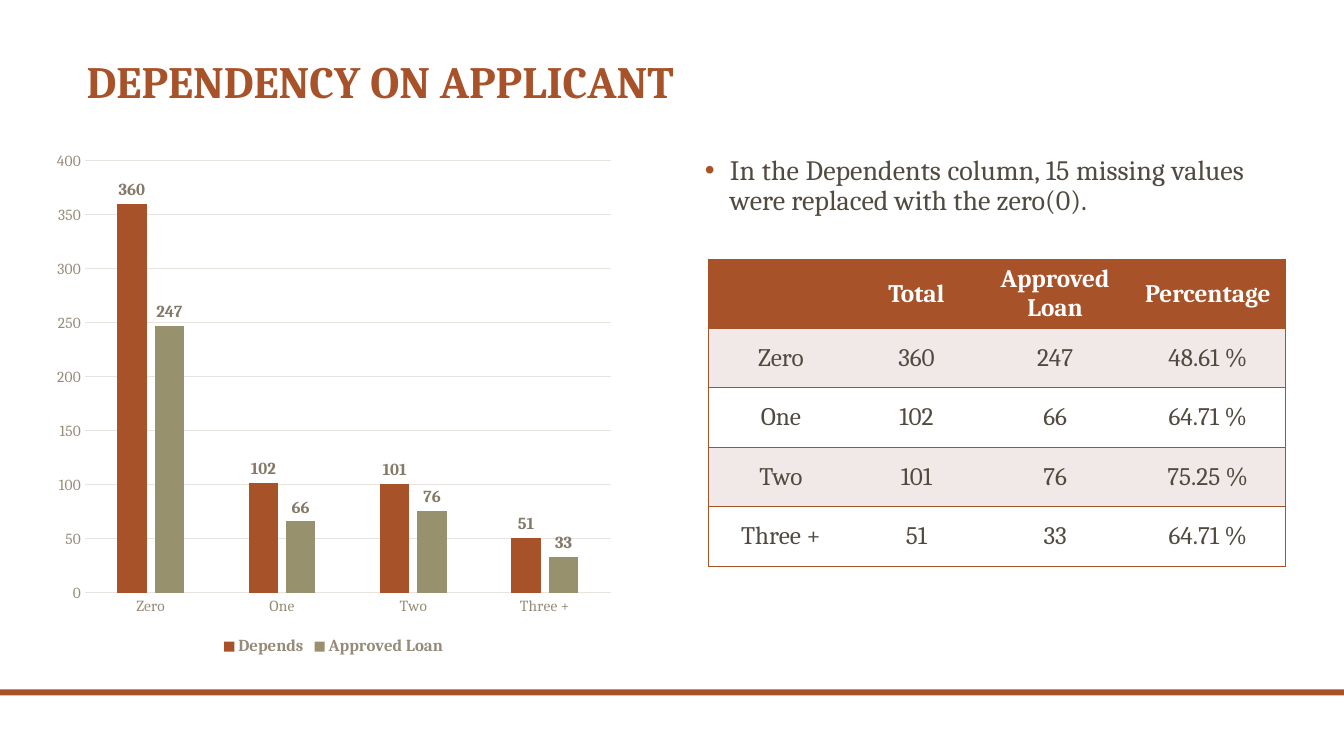
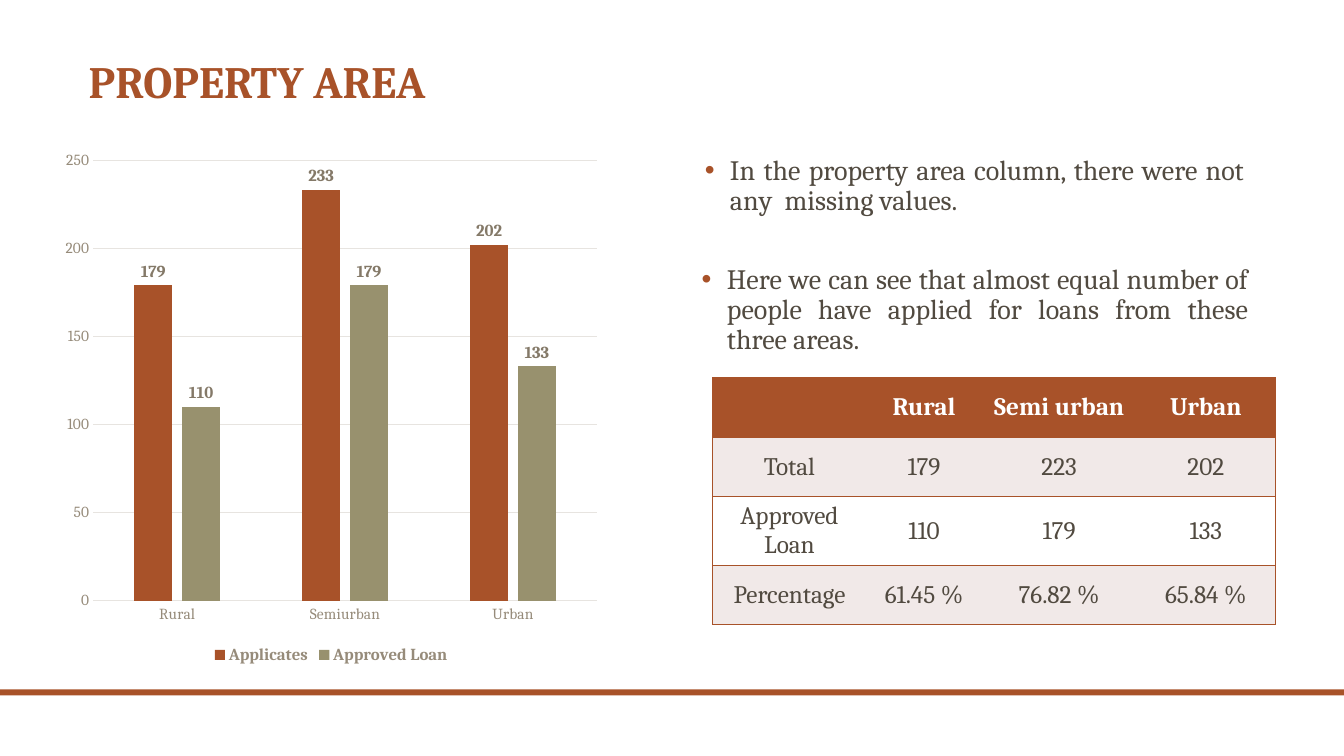
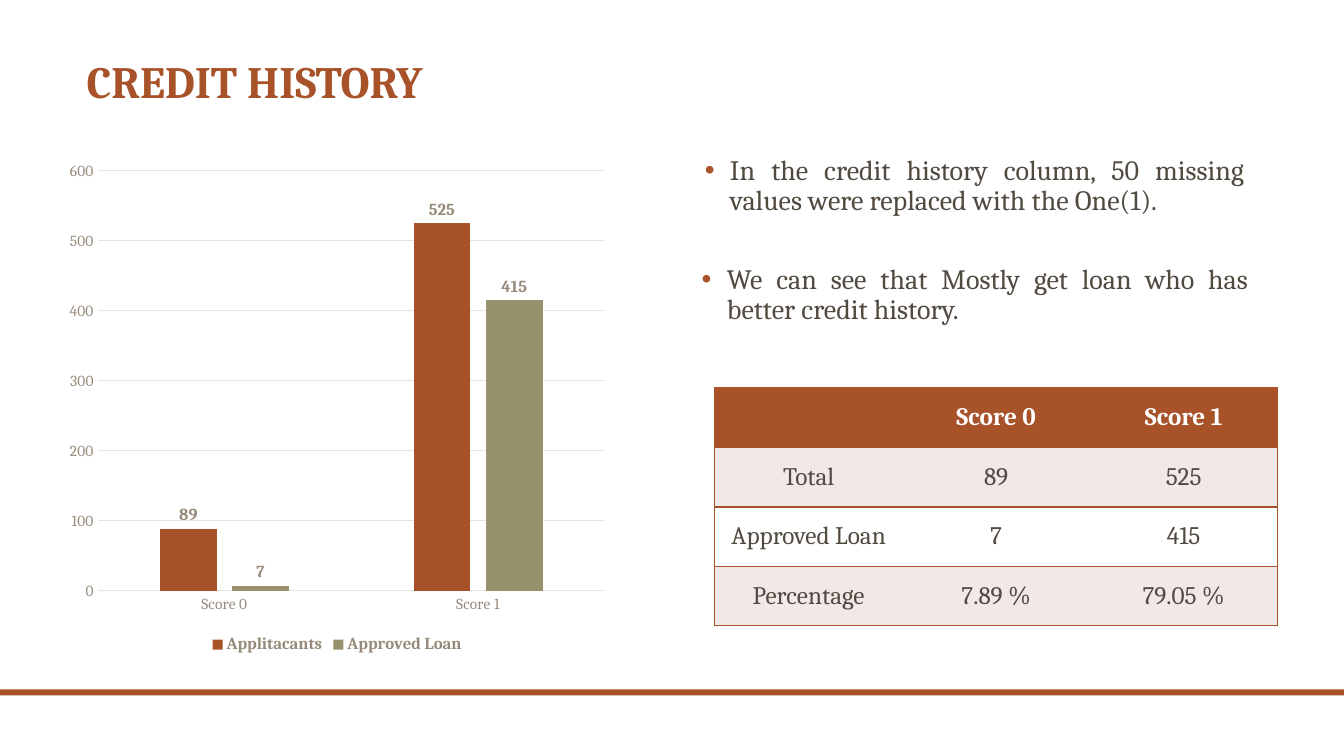
from lxml.etree import SubElement
from pptx import Presentation
from pptx.chart.data import CategoryChartData
from pptx.dml.color import RGBColor
from pptx.enum.chart import (XL_CHART_TYPE, XL_LABEL_POSITION,
                             XL_LEGEND_POSITION, XL_TICK_MARK)
from pptx.enum.shapes import MSO_SHAPE
from pptx.enum.text import MSO_ANCHOR, MSO_AUTO_SIZE, PP_ALIGN
from pptx.oxml.ns import qn
from pptx.util import Inches, Pt

FONT = "Cambria"
COLORS = {
    "rust": "A85229", "olive": "98916E", "ink": "514A40", "white": "FFFFFF",
    "tint": "F1E9E8", "grid": "E7E4E0", "axis": "968B7A", "label": "847968",
}
NOTE_BOXES = [(6.84, 1.5, 5.6, 0.71), (6.81, 2.58, 5.67, 1.17)]
ROW_H = 0.59

SLIDES = [
    {
        "title": "DEPENDENCY ON APPLICANT", "left": 0.76,
        "notes": ["In the Dependents column, 15 missing values were replaced "
                  "with the zero(0)."],
        "chart": {
            "box": (0.45, 1.4, 5.72, 5.15), "top": 400, "step": 50,
            "label": "label", "cats": ["Zero", "One", "Two", "Three +"],
            "series": [("Depends", [360, 102, 101, 51]),
                       ("Approved Loan", [247, 66, 76, 33])],
        },
        "table": {
            "at": (7.03, 2.58), "cols": [1.43, 1.26, 1.49, 1.54],
            "rows": [["", "Total", "Approved Loan", "Percentage"],
                     ["Zero", "360", "247", "48.61 %"],
                     ["One", "102", "66", "64.71 %"],
                     ["Two", "101", "76", "75.25 %"],
                     ["Three +", "51", "33", "64.71 %"]],
        },
    },
    {
        "title": "PROPERTY AREA", "left": 0.78,
        "notes": ["In the property area column, there were not any  missing "
                  "values.",
                  "Here we can see that almost equal number of people have "
                  "applied for loans from these three areas."],
        "chart": {
            "box": (0.54, 1.39, 5.49, 5.24), "top": 250, "step": 50,
            "label": "label", "cats": ["Rural", "Semiurban", "Urban"],
            "series": [("Applicates", [179, 233, 202]),
                       ("Approved Loan", [110, 179, 133])],
        },
        "table": {
            "at": (7.07, 3.75), "cols": [1.52, 1.15, 1.53, 1.38],
            "rows": [["", "Rural", "Semi urban", "Urban"],
                     ["Total", "179", "223", "202"],
                     ["Approved Loan", "110", "179", "133"],
                     ["Percentage", "61.45 %", "76.82 %", "65.84 %"]],
        },
    },
    {
        "title": "CREDIT HISTORY", "left": 0.76,
        "notes": ["In the credit history column, 50 missing values were "
                  "replaced with the One(1).",
                  "We can see that Mostly get loan who has better credit "
                  "history."],
        "chart": {
            "box": (0.58, 1.5, 5.53, 5.03), "top": 600, "step": 100,
            "label": "axis", "cats": ["Score 0", "Score 1"],
            "series": [("Applitacants", [89, 525]),
                       ("Approved Loan", [7, 415])],
        },
        "table": {
            "at": (7.09, 3.85), "cols": [1.86] * 3,
            "rows": [["", "Score 0", "Score 1"],
                     ["Total", "89", "525"],
                     ["Approved Loan", "7", "415"],
                     ["Percentage", "7.89 %", "79.05 %"]],
        },
    },
]


def color(name):
    return RGBColor.from_string(COLORS[name])


def style(font, size, name, bold=False):
    font.name, font.size, font.bold = FONT, Pt(size), bold
    font.color.rgb = color(name)


def place(shape, box):
    shape.left, shape.top, shape.width, shape.height = map(Inches, box)


def add_band(prs, slide):
    """Draw the foot band and move it to the master, so all slides show it."""
    band = slide.shapes.add_shape(MSO_SHAPE.RECTANGLE, 0, Inches(6.84),
                                  prs.slide_width, Inches(0.06))
    band.shadow.inherit = False
    band.fill.solid()
    band.fill.fore_color.rgb = color("rust")
    band.line.fill.background()
    band.element.nvSpPr.cNvPr.set("id", "20")
    prs.slide_master.shapes.element.append(band.element)


def set_title(shape, text, left):
    place(shape, (left, 0.43, 10.5, 0.69))
    frame = shape.text_frame
    frame.text = text
    frame.auto_size = MSO_AUTO_SIZE.NONE
    frame.vertical_anchor = MSO_ANCHOR.BOTTOM
    para = frame.paragraphs[0]
    para.alignment, para.line_spacing = PP_ALIGN.LEFT, 0.9
    style(para.runs[0].font, 32, "rust", True)


def add_bullet(para):
    props = para._p.get_or_add_pPr()
    props.set("marL", str(Inches(0.3)))
    props.set("indent", str(Inches(-0.25)))
    tint = SubElement(props, qn("a:buClr"))
    SubElement(tint, qn("a:srgbClr"), val=COLORS["rust"])
    SubElement(props, qn("a:buFont"), typeface="Arial")
    SubElement(props, qn("a:buChar"), char="•")


def set_note(shape, text, box):
    place(shape, box)
    frame = shape.text_frame
    frame.text = text
    frame.auto_size = MSO_AUTO_SIZE.NONE
    frame.vertical_anchor = MSO_ANCHOR.TOP
    para = frame.paragraphs[0]
    para.alignment, para.line_spacing = PP_ALIGN.JUSTIFY, 0.9
    para.space_before = Pt(18)
    add_bullet(para)
    style(para.runs[0].font, 20, "ink")


def add_borders(cell, sides):
    """Rule the given sides of a cell and clear the others."""
    props = cell._tc.get_or_add_tcPr()
    for side in "LRTB":
        line = SubElement(props, qn(f"a:ln{side}"), w=str(Pt(1)))
        if side in sides:
            fill = SubElement(line, qn("a:solidFill"))
            SubElement(fill, qn("a:srgbClr"), val=COLORS["rust"])
        else:
            SubElement(line, qn("a:noFill"))


def add_grid(slide, at, cols, rows):
    box = (*at, sum(cols), ROW_H * len(rows))
    table = slide.shapes.add_table(len(rows), len(cols),
                                   *map(Inches, box)).table
    for col, width in zip(table.columns, cols):
        col.width = Inches(width)
    for r, row in enumerate(rows):
        table.rows[r].height = Inches(ROW_H)
        back = "rust" if r == 0 else "tint" if r % 2 else "white"
        for c, text in enumerate(row):
            cell = table.cell(r, c)
            left = "L" if c == 0 else ""
            right = "R" if c == len(cols) - 1 else ""
            add_borders(cell, "TB" + left + right)
            cell.fill.solid()
            cell.fill.fore_color.rgb = color(back)
            cell.vertical_anchor = MSO_ANCHOR.MIDDLE
            cell.text = text
            para = cell.text_frame.paragraphs[0]
            para.alignment = PP_ALIGN.CENTER
            for run in para.runs:
                style(run.font, 18, "ink" if r else "white", r == 0)


def set_axes(chart, top, step):
    for axis in (chart.category_axis, chart.value_axis):
        axis.major_tick_mark = axis.minor_tick_mark = XL_TICK_MARK.NONE
        style(axis.tick_labels.font, 11, "axis")
    chart.value_axis.format.line.fill.background()
    chart.value_axis.minimum_scale = 0
    chart.value_axis.maximum_scale = top
    chart.value_axis.major_unit = step
    chart.value_axis.has_major_gridlines = True
    for part in (chart.category_axis, chart.value_axis.major_gridlines):
        part.format.line.color.rgb = color("grid")
        part.format.line.width = Pt(0.75)


def add_bars(slide, box, top, step, label, cats, series):
    data = CategoryChartData()
    data.categories = cats
    for name, values in series:
        data.add_series(name, values)
    chart = slide.shapes.add_chart(XL_CHART_TYPE.COLUMN_CLUSTERED,
                                   *map(Inches, box), data).chart
    style(chart.font, 10, "ink")
    chart.has_title = False
    chart.has_legend = True
    chart.legend.position = XL_LEGEND_POSITION.BOTTOM
    chart.legend.include_in_layout = False
    style(chart.legend.font, 12, "axis", True)
    set_axes(chart, top, step)
    plot = chart.plots[0]
    plot.gap_width, plot.overlap = 219, -27
    plot.vary_by_categories = False
    for bars, name in zip(plot.series, ("rust", "olive")):
        bars.format.fill.solid()
        bars.format.fill.fore_color.rgb = color(name)
        labels = bars.data_labels
        labels.show_value = True
        labels.position = XL_LABEL_POSITION.OUTSIDE_END
        style(labels.font, 12, label, True)


def add_page(prs, page):
    """Add a slide with a chart on the left, notes and a table on the right."""
    notes = page["notes"]
    layout = prs.slide_layouts[1 if len(notes) == 1 else 3]
    slide = prs.slides.add_slide(layout)
    title, *bodies = slide.placeholders
    set_title(title, page["title"], page["left"])
    for body, text, box in zip(bodies, notes, NOTE_BOXES):
        set_note(body, text, box)
    add_grid(slide, **page["table"])
    add_bars(slide, **page["chart"])
    return slide


def main():
    prs = Presentation()
    prs.slide_width, prs.slide_height = Inches(13.33), Inches(7.5)
    slides = [add_page(prs, page) for page in SLIDES]
    add_band(prs, slides[0])
    prs.save("out.pptx")


if __name__ == "__main__":
    main()
